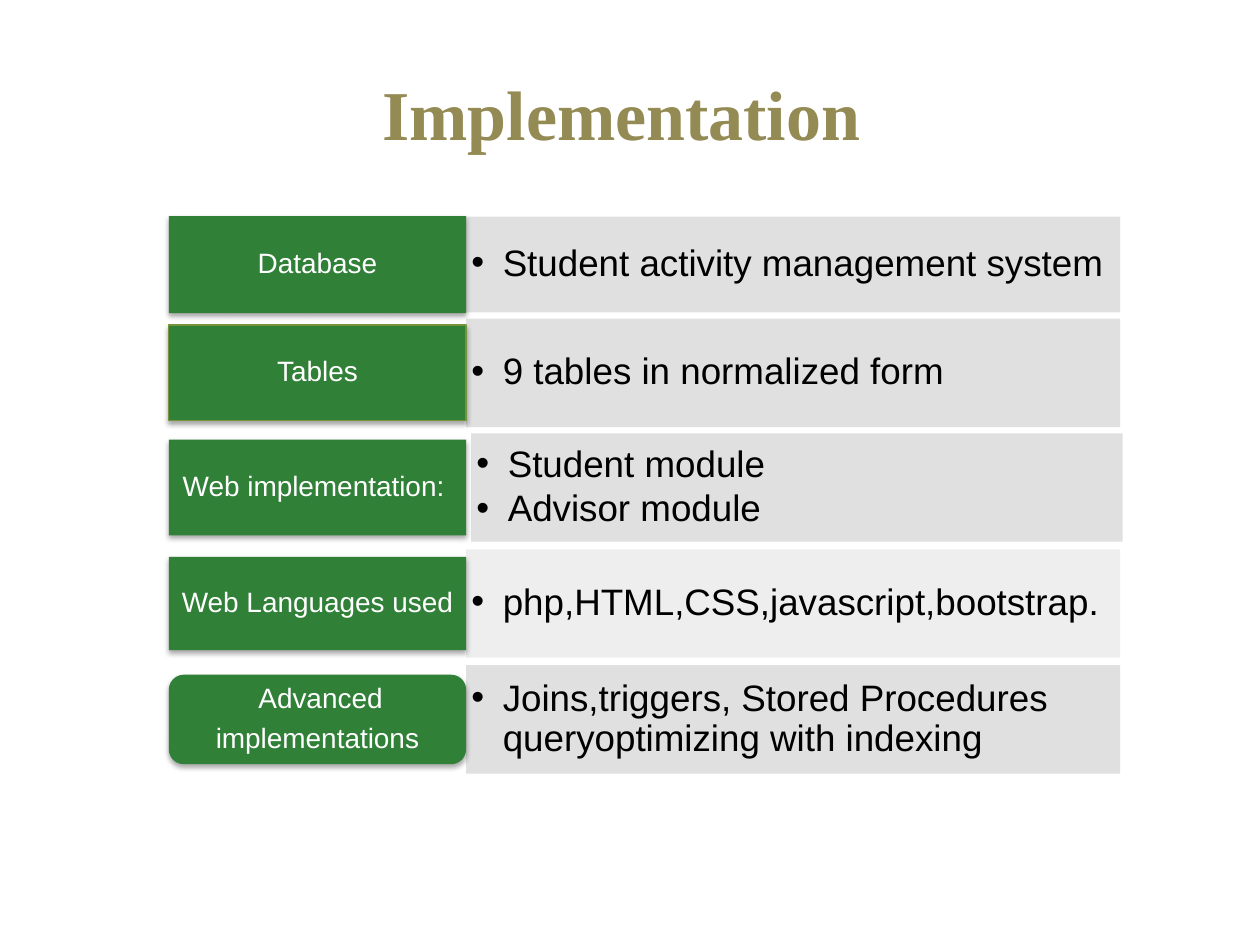
from dataclasses import dataclass

from pptx import Presentation
from pptx.dml.color import RGBColor
from pptx.enum.shapes import MSO_SHAPE
from pptx.enum.text import MSO_ANCHOR, PP_ALIGN
from pptx.oxml.ns import qn
from pptx.oxml.xmlchemy import OxmlElement
from pptx.util import Inches, Pt

RECTANGLE = MSO_SHAPE.RECTANGLE
ROUNDED = MSO_SHAPE.ROUNDED_RECTANGLE
MIDDLE = MSO_ANCHOR.MIDDLE
CENTER, LEFT = PP_ALIGN.CENTER, PP_ALIGN.LEFT


@dataclass(frozen=True)
class Theme:
    title_font: str = "Times New Roman"
    body_font: str = "Arial"
    title_size: int = 40
    detail_size: int = 21
    label_size: int = 16
    title: str = "948A54"
    label: str = "308038"
    label_line: str = "77933C"
    label_text: str = "FFFFFF"
    detail_text: str = "000000"
    detail: str = "DDDDDD"
    detail_light: str = "EDEDED"


@dataclass(frozen=True)
class Row:
    top: float
    height: float
    label_height: float
    label: tuple
    details: tuple
    left: float = 3.7
    width: float = 5.19
    fill: str = Theme.detail
    label_shape: int = RECTANGLE
    outlined: bool = False


THEME = Theme()
LABEL_LEFT, LABEL_WIDTH = 1.34, 2.36
ROWS = (
    Row(1.72, 0.76, 0.77, ("Database",), ("Student activity management system",)),
    Row(2.53, 0.86, 0.76, ("Tables",), ("9 tables in normalized form",), outlined=True),
    Row(3.44, 0.86, 0.76, ("Web implementation: ",), ("Student module", "Advisor module"),
        left=3.74, width=5.17),
    Row(4.36, 0.86, 0.74, ("Web Languages used",), ("php,HTML,CSS,javascript,bootstrap.",),
        fill=THEME.detail_light),
    Row(5.28, 0.86, 0.71, (" Advanced", "implementations"),
        ("Joins,triggers, Stored Procedures queryoptimizing with indexing",),
        label_shape=ROUNDED),
)


def add_child(parent, tag, **attributes):
    child = OxmlElement(tag)
    for name, value in attributes.items():
        child.set(name, str(value))
    parent.append(child)
    return child


def add_bullet(paragraph):
    properties = paragraph._p.get_or_add_pPr()
    properties.set("marL", str(Inches(0.25)))
    properties.set("indent", str(-Inches(0.25)))
    add_child(properties, "a:buFont", typeface=THEME.body_font)
    add_child(properties, "a:buChar", char="•")


def add_shadow(shape):
    effects = shape._element.spPr.find(qn("a:effectLst"))
    shadow = add_child(effects, "a:outerShdw", blurRad=Pt(3), dist=Pt(1.8),
                       dir=5400000, rotWithShape=0)
    add_child(add_child(shadow, "a:srgbClr", val="000000"), "a:alpha", val=35000)


def set_font(paragraph, name, size, color, bold=False):
    font = paragraph.font
    font.name, font.size, font.bold = name, Pt(size), bold
    font.color.rgb = RGBColor.from_string(color)


def prepare_frame(frame, inset):
    frame.word_wrap = True
    frame.vertical_anchor = MIDDLE
    frame.margin_left = frame.margin_right = Inches(inset)
    frame.margin_top = frame.margin_bottom = Inches(inset)


def fill_text(frame, lines, size, color, alignment, space, bulleted=False):
    for index, line in enumerate(lines):
        paragraph = frame.paragraphs[0] if index == 0 else frame.add_paragraph()
        paragraph.text = line
        paragraph.alignment = alignment
        paragraph.line_spacing = 0.9
        paragraph.space_before = Pt(space)
        if bulleted:
            add_bullet(paragraph)
        set_font(paragraph, THEME.body_font, size, color)


def add_block(slide, kind, left, top, width, height, fill):
    shape = slide.shapes.add_shape(
        kind, Inches(left), Inches(top), Inches(width), Inches(height))
    shape.shadow.inherit = False
    shape.fill.solid()
    shape.fill.fore_color.rgb = RGBColor.from_string(fill)
    shape.line.fill.background()
    return shape


def add_title(slide, left, top, width, height):
    box = slide.shapes.add_textbox(Inches(left), Inches(top), Inches(width), Inches(height))
    prepare_frame(box.text_frame, 0.05)
    paragraph = box.text_frame.paragraphs[0]
    paragraph.text = "Implementation "
    paragraph.alignment = CENTER
    set_font(paragraph, THEME.title_font, THEME.title_size, THEME.title, bold=True)


def add_detail(slide, row):
    bar = add_block(slide, RECTANGLE, row.left, row.top, row.width, row.height, row.fill)
    color = bar._element.spPr.find(qn("a:solidFill"))[0]
    add_child(color, "a:alpha", val=90000)
    prepare_frame(bar.text_frame, 0.04)
    fill_text(bar.text_frame, row.details, THEME.detail_size, THEME.detail_text,
              LEFT, 3, bulleted=True)


def add_label(slide, row):
    top = row.top + (row.height - row.label_height) / 2
    label = add_block(slide, row.label_shape, LABEL_LEFT, top, LABEL_WIDTH,
                      row.label_height, THEME.label)
    if row.outlined:
        label.line.color.rgb = RGBColor.from_string(THEME.label_line)
        label.line.width = Pt(0.75)
    add_shadow(label)
    prepare_frame(label.text_frame, 0.03)
    fill_text(label.text_frame, row.label, THEME.label_size, THEME.label_text, CENTER, 6)


def main():
    presentation = Presentation()
    presentation.slide_width = Inches(10)
    presentation.slide_height = Inches(7.5)
    slide = presentation.slides.add_slide(presentation.slide_layouts[6])
    add_title(slide, 0.5, 0.27, 9, 1.25)
    for row in ROWS:
        add_detail(slide, row)
        add_label(slide, row)
    presentation.save("out.pptx")


if __name__ == "__main__":
    main()
